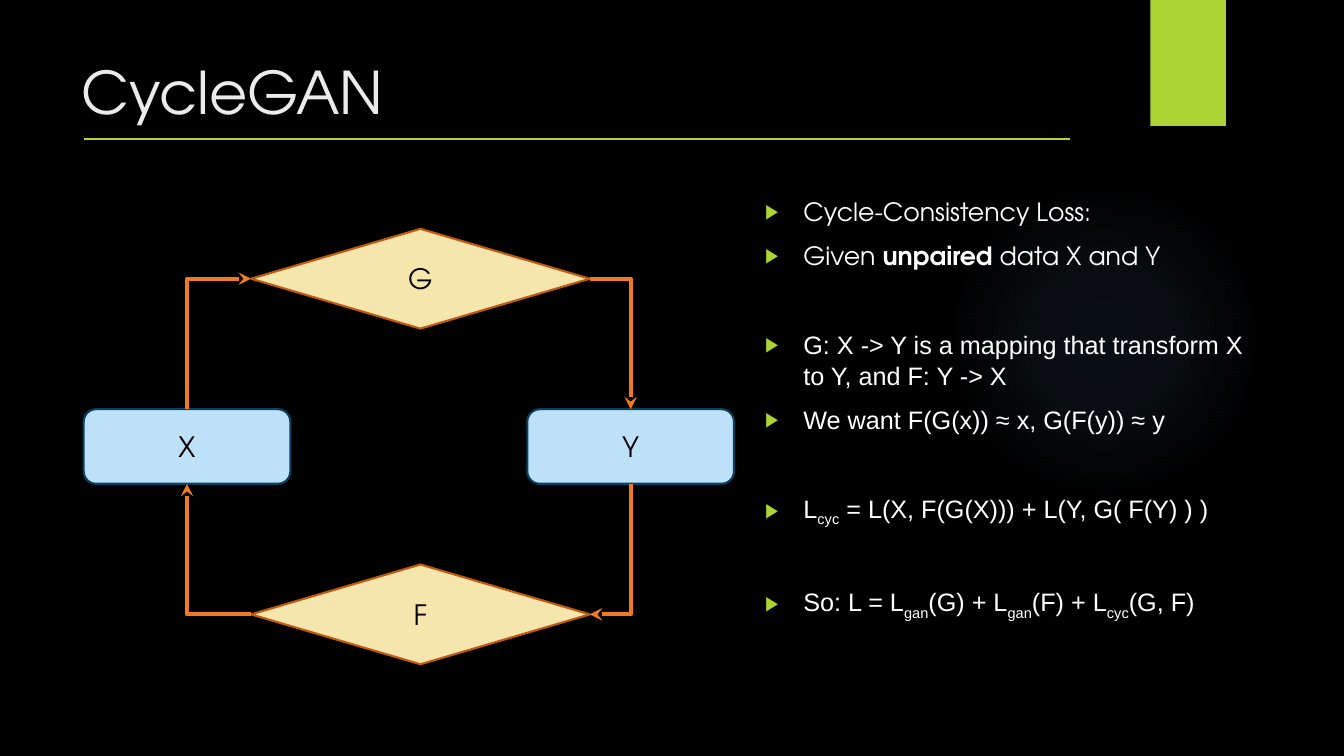
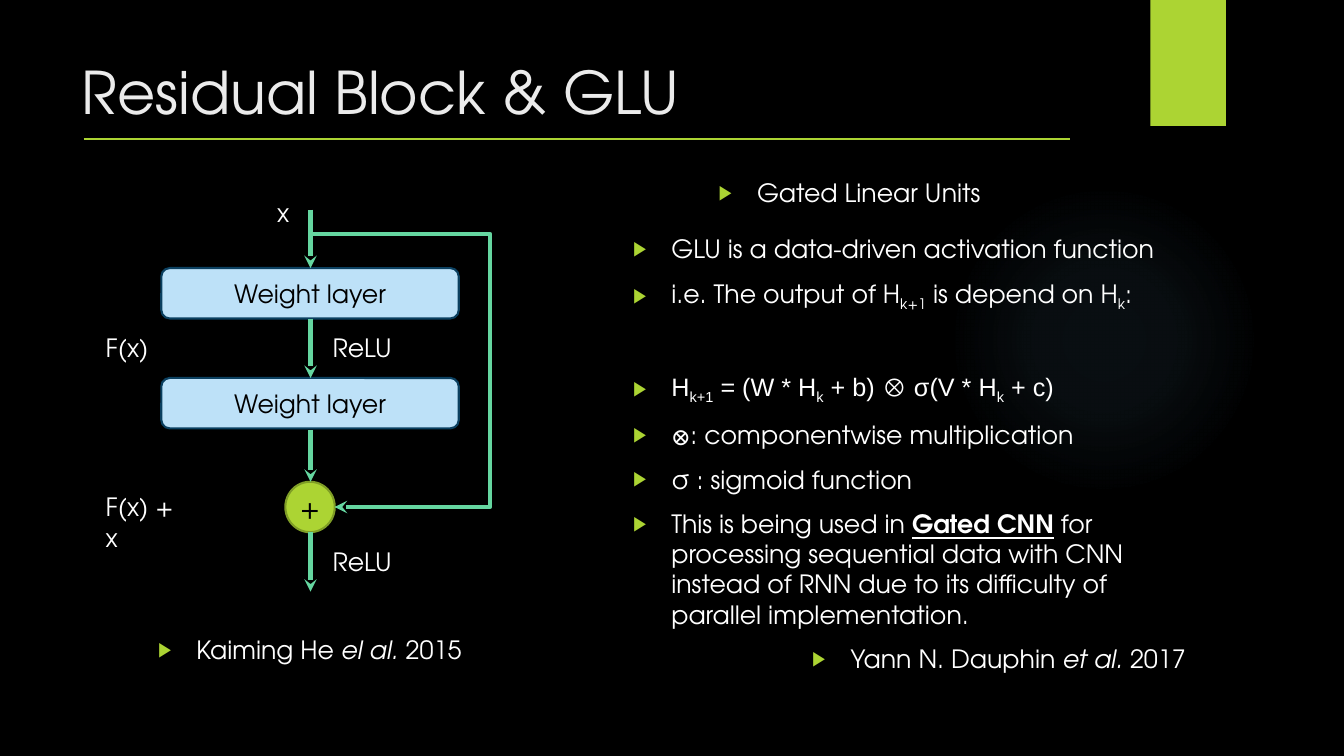
from lxml import etree
from pptx import Presentation
from pptx.dml.color import RGBColor
from pptx.enum import shapes, text
from pptx.oxml import parse_xml
from pptx.oxml.ns import nsdecls, qn
from pptx.util import Inches, Pt

BLACK = RGBColor(0x00, 0x00, 0x00)
WHITE = RGBColor(0xFF, 0xFF, 0xFF)
PALE = RGBColor(0xEB, 0xEB, 0xEB)
LIME = RGBColor(0xAC, 0xD4, 0x33)
OLIVE = RGBColor(0x7F, 0x9D, 0x26)
SKY = RGBColor(0xBD, 0xE1, 0xF8)
NAVY = RGBColor(0x0B, 0x40, 0x60)
SAND = RGBColor(0xF5, 0xE6, 0xAD)
RUST = RGBColor(0xC0, 0x5A, 0x0E)
AMBER = RGBColor(0xEF, 0x7A, 0x24)
MINT = RGBColor(0x65, 0xD6, 0xA0)

FONT = "TeX Gyre Adventor"
HEAD = {"name": FONT, "size": Pt(42)}
BODY = {"name": FONT, "size": Pt(18)}
NODE = {"name": FONT, "size": Pt(20)}
ARIAL = {"name": "Arial", "size": Pt(18)}
BOLD = {"bold": True}
TERM = {"bold": True, "underline": True}
ITAL = {"italic": True}
SUB = {"sub": True}
LEFT, MID, RIGHT = text.PP_ALIGN.LEFT, text.PP_ALIGN.CENTER, text.PP_ALIGN.RIGHT
NEXT, SKIP = Pt(10), Pt(42)
KIND = shapes.MSO_SHAPE
LINE = shapes.MSO_CONNECTOR


def write(frame, paras, hue, mark=False):
    for n, (gap, side, look, runs) in enumerate(paras):
        para = frame.paragraphs[0] if n == 0 else frame.add_paragraph()
        if mark:
            props = para._p.get_or_add_pPr()
            props.set("marL", str(Inches(0.38)))
            props.set("indent", str(-Inches(0.38)))
            for tag, key, val in (("buClr", "", ""), ("buSzPct", "val", "80000"),
                                  ("buFont", "typeface", "Arial"), ("buChar", "char", "▶")):
                item = etree.SubElement(props, qn("a:" + tag))
                if key:
                    item.set(key, val)
                else:
                    etree.SubElement(item, qn("a:srgbClr")).set("val", str(LIME))
        para.alignment = side
        para.space_before = gap if n else Pt(0)
        for words, style in runs:
            run = para.add_run()
            run.text = words
            run.font.color.rgb = hue
            for key, val in {**look, **style}.items():
                if key == "sub":
                    run._r.get_or_add_rPr().set("baseline", "-25000")
                else:
                    setattr(run.font, key, val)


def draw(slide, kind, start, end, hue, width, tip=None):
    line = slide.shapes.add_connector(kind, *map(Inches, start + end))
    line.line.color.rgb = hue
    line.line.width = Pt(width)
    if tip:
        etree.SubElement(line.line._get_or_add_ln(), qn("a:" + tip)).set("type", "stealth")
    etree.SubElement(line._element.spPr, qn("a:effectLst"))
    return line


deck = Presentation()
deck.slide_width, deck.slide_height = Inches(13.33), Inches(7.5)

stops = "".join(
    f'<a:gs pos="{pos}000"><a:srgbClr val="7AC4F0"><a:alpha val="{dim}000"/></a:srgbClr></a:gs>'
    for pos, dim in ((0, 7), (36, 6), (69, 0)))
glow = (f'<a:gradFill {nsdecls("a")}><a:gsLst>{stops}</a:gsLst><a:path path="circle">'
        '<a:fillToRect l="50000" t="50000" r="50000" b="50000"/></a:path></a:gradFill>')

for title in ("CycleGAN", "Residual Block & GLU"):
    slide = deck.slides.add_slide(deck.slide_layouts[6])
    slide.background.fill.solid()
    slide.background.fill.fore_color.rgb = BLACK
    halo = slide.shapes.add_shape(KIND.OVAL, *map(Inches, (9.41, 1.83, 3.08, 3.08)))
    halo._element.spPr.find(qn("a:prstGeom")).addnext(parse_xml(glow))
    band = slide.shapes.add_shape(KIND.RECTANGLE, *map(Inches, (11.41, 0, 0.75, 1.25)))
    band.fill.solid()
    band.fill.fore_color.rgb = LIME
    for shape in (halo, band):
        shape.shadow.inherit = False
        shape.line.fill.background()
    box = slide.shapes.add_textbox(*map(Inches, (0.71, 0.5, 10.29, 0.85)))
    box.text_frame.word_wrap = True
    write(box.text_frame, [(0, LEFT, HEAD, [(title, {})])], PALE)
    draw(slide, LINE.STRAIGHT, (0.83, 1.38), (10.61, 1.38), LIME, 1.5)

cycle, block = deck.slides

nodes = {}
for slide, name, kind, place, fill, edge, words, look in (
    (cycle, "X", KIND.ROUNDED_RECTANGLE, (0.83, 4.06, 2.05, 0.74), SKY, NAVY, "X", NODE),
    (cycle, "Y", KIND.ROUNDED_RECTANGLE, (5.23, 4.06, 2.05, 0.74), SKY, NAVY, "Y", NODE),
    (cycle, "G", KIND.DIAMOND, (2.49, 2.27, 3.36, 0.99), SAND, RUST, "G", NODE),
    (cycle, "F", KIND.DIAMOND, (2.49, 5.6, 3.36, 0.99), SAND, RUST, "F", NODE),
    (block, "first", KIND.ROUNDED_RECTANGLE, (1.6, 2.66, 2.95, 0.5), SKY, NAVY, "Weight layer", BODY),
    (block, "second", KIND.ROUNDED_RECTANGLE, (1.6, 3.75, 2.95, 0.5), SKY, NAVY, "Weight layer", BODY),
    (block, "sum", KIND.OVAL, (2.83, 4.78, 0.49, 0.5), LIME, OLIVE, "+", NODE),
):
    node = nodes[name] = slide.shapes.add_shape(kind, *map(Inches, place))
    node.shadow.inherit = False
    node.fill.solid()
    node.fill.fore_color.rgb = fill
    node.line.color.rgb = edge
    node.line.width = Pt(1.5)
    frame = node.text_frame
    frame.vertical_anchor = text.MSO_ANCHOR.MIDDLE
    frame.word_wrap = name != "sum"
    write(frame, [(0, MID, look, [(words, {})])], BLACK)

for gate, side, data, spot, start, end, tip in (
    ("G", 1, "X", 0, (2.49, 2.76), (1.86, 4.06), "headEnd"),
    ("G", 3, "Y", 0, (5.85, 2.76), (6.26, 4.06), "tailEnd"),
    ("F", 3, "Y", 2, (5.85, 6.09), (6.26, 4.8), "headEnd"),
    ("F", 1, "X", 2, (2.49, 6.09), (1.86, 4.8), "tailEnd"),
):
    bend = draw(cycle, LINE.ELBOW, start, end, AMBER, 3, tip)
    bend.begin_connect(nodes[gate], side)
    bend.end_connect(nodes[data], spot)
    bend._element.spPr.find(qn("a:prstGeom")).set("prst", "bentConnector2")

for top, base in ((2.08, 2.66), (3.16, 3.75), (4.27, 4.78), (5.28, 5.87)):
    draw(block, LINE.STRAIGHT, (3.08, top), (3.08, base), MINT, 3, "tailEnd")
loop = draw(block, LINE.ELBOW, (3.32, 5.03), (3.08, 2.32), MINT, 3, "headEnd")
shape = loop._element.spPr.find(qn("a:prstGeom"))
guide = etree.SubElement(shape.get_or_add_avLst(), qn("a:gd"))
guide.set("name", "adj1")
guide.set("fmla", f"val {round((3.32 - 4.86) / 0.24 * 100000)}")

for words, left, top, width in (
    ("ReLU", 3.2, 3.25, 0.8), ("ReLU", 3.2, 5.37, 0.8), ("x", 2.65, 1.91, 0.35),
    ("F(x)", 0.95, 3.25, 0.63), ("F(x) + x", 0.95, 4.83, 1),
):
    box = block.shapes.add_textbox(*map(Inches, (left, top, width, 0.4)))
    box.text_frame.word_wrap = words == "F(x) + x"
    write(box.text_frame, [(0, LEFT, BODY, [(words, {})])], WHITE)

for slide, place, paras in (
    (cycle, (7.49, 1.9, 5.01, 5.11), [
        (NEXT, LEFT, BODY, [("Cycle-Consistency Loss:", {})]),
        (NEXT, LEFT, BODY, [("Given ", {}), ("unpaired", BOLD), (" data X and Y", {})]),
        (SKIP, LEFT, ARIAL, [("G: X -> Y is a mapping that transform X to Y, and F: Y -> X", {})]),
        (NEXT, LEFT, ARIAL, [("We want F(G(x)) ≈ x, G(F(y)) ≈ y", {})]),
        (SKIP, LEFT, ARIAL, [("L", {}), ("cyc", SUB), (" = L(X, F(G(X))) + L(Y, G( F(Y) ) )", {})]),
        (SKIP, LEFT, ARIAL, [("So: L = L", {}), ("gan", SUB), ("(G) + L", {}), ("gan", SUB),
                             ("(F) + L", {}), ("cyc", SUB), ("(G, F)", {})]),
    ]),
    (block, (6.18, 2.27, 5.68, 4.59), [
        (NEXT, LEFT, BODY, [("GLU is a data-driven activation function", {})]),
        (NEXT, LEFT, BODY, [("i.e. The output of H", {}), ("k+1", SUB), (" is depend on H", {}),
                            ("k", SUB), (":", {})]),
        (SKIP, LEFT, ARIAL, [("H", {}), ("k+1", SUB), (" = (W * H", {}), ("k", SUB),
                             (" + b) ⊗ σ(V * H", {}), ("k", SUB), (" + c)", {})]),
        (NEXT, LEFT, BODY, [("⊗: componentwise multiplication", {})]),
        (NEXT, LEFT, BODY, [("σ : sigmoid function", {})]),
        (NEXT, LEFT, BODY, [("This is being used in ", {}), ("Gated CNN", TERM),
                            (" for processing sequential data with CNN instead of RNN due to its "
                             "difficulty of parallel implementation.", {})]),
        (NEXT, RIGHT, BODY, [("Yann N. Dauphin ", {}), ("et al.", ITAL), (" 2017", {})]),
    ]),
    (block, (1.47, 6.24, 3.49, 0.42), [
        (0, LEFT, BODY, [("Kaiming He ", {}), ("el al.", ITAL), (" 2015", {})])]),
    (block, (7.03, 1.71, 3.49, 0.42), [(0, LEFT, BODY, [("Gated Linear Units", {})])]),
):
    box = slide.shapes.add_textbox(*map(Inches, place))
    box.text_frame.word_wrap = True
    write(box.text_frame, paras, WHITE, mark=True)

deck.save("out.pptx")
